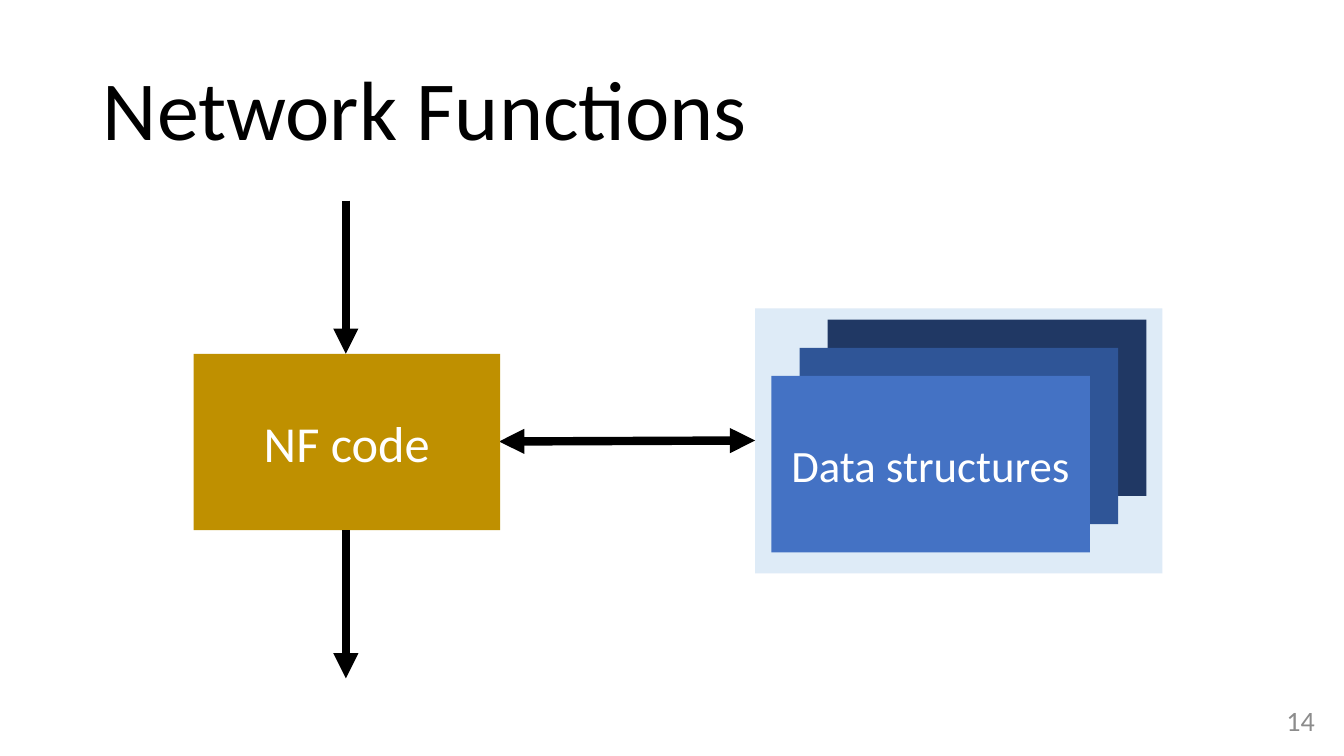
import dataclasses

import pptx
import pptx.dml.color
import pptx.enum.shapes
import pptx.enum.text
import pptx.oxml
import pptx.oxml.ns
import pptx.util

Inches = pptx.util.Inches
ALIGN = pptx.enum.text.PP_ALIGN


@dataclasses.dataclass(frozen=True)
class Theme:
    font: str = "Calibri"
    ink: str = "000000"
    light: str = "FFFFFF"
    muted: str = "8C8C8C"
    code: str = "BF9000"
    panel: str = "DEEBF7"
    stack: tuple = ("203864", "2F5597", "4472C4")
    title_size: int = 60
    code_size: int = 36
    data_size: int = 32
    number_size: int = 20
    arrow_width: int = 6


class Deck:
    """Draws themed elements on the current slide."""

    def __init__(self, theme):
        self.theme = theme
        self.prs = pptx.Presentation()
        self.prs.slide_width = Inches(13.33)
        self.prs.slide_height = Inches(7.5)
        self.s = self.prs.slides.add_slide(self.prs.slide_layouts[5])

    def rgb(self, color):
        return pptx.dml.color.RGBColor.from_string(color)

    def set_text(self, sp, text, size, color, align):
        tf = sp.text_frame
        tf.text = text
        tf.word_wrap = True
        tf.auto_size = pptx.enum.text.MSO_AUTO_SIZE.NONE
        tf.vertical_anchor = pptx.enum.text.MSO_ANCHOR.MIDDLE
        p = tf.paragraphs[0]
        p.alignment = align
        r = p.runs[0]
        r.font.name = self.theme.font
        r.font.size = pptx.util.Pt(size)
        r.font.color.rgb = self.rgb(color)
        return p

    def title(self, text, x, y, w, h):
        sp = self.s.shapes.title
        sp.left, sp.top, sp.width, sp.height = map(Inches, (x, y, w, h))
        p = self.set_text(sp, text, self.theme.title_size, self.theme.ink, ALIGN.LEFT)
        p.line_spacing = 0.9

    def number(self, text, x, y, w, h):
        sp = self.s.shapes.add_textbox(*map(Inches, (x, y, w, h)))
        self.set_text(sp, text, self.theme.number_size, self.theme.muted, ALIGN.RIGHT)

    def box(self, x, y, w, h, fill, text="", size=None, parent=None):
        shapes = (parent or self.s).shapes
        kind = pptx.enum.shapes.MSO_SHAPE.RECTANGLE
        sp = shapes.add_shape(kind, *map(Inches, (x, y, w, h)))
        sp.shadow.inherit = False
        sp.fill.solid()
        sp.fill.fore_color.rgb = self.rgb(fill)
        sp.line.fill.background()
        if text:
            self.set_text(sp, text, size, self.theme.light, ALIGN.CENTER)

    def arrow(self, x1, y1, x2, y2, both=False):
        kind = pptx.enum.shapes.MSO_CONNECTOR.STRAIGHT
        sp = self.s.shapes.add_connector(kind, *map(Inches, (x1, y1, x2, y2)))
        sp.line.color.rgb = self.rgb(self.theme.ink)
        sp.line.width = pptx.util.Pt(self.theme.arrow_width)
        props = sp._element.spPr
        ln = props.find(pptx.oxml.ns.qn("a:ln"))
        ns = pptx.oxml.ns.nsdecls("a")
        for tag in ("a:headEnd", "a:tailEnd") if both else ("a:tailEnd",):
            ln.append(pptx.oxml.parse_xml(f'<{tag} {ns} type="triangle"/>'))
        props.append(pptx.oxml.parse_xml(f"<a:effectLst {ns}/>"))

    def stack(self, panel, x, y, w, h, step, text):
        group = self.s.shapes.add_group_shape()
        self.box(*panel, self.theme.panel, parent=group)
        last = len(self.theme.stack) - 1
        for i, fill in enumerate(self.theme.stack):
            label = text if i == last else ""
            self.box(x - i * step, y + i * step, w, h, fill, label,
                     self.theme.data_size, group)


def main():
    theme = Theme()
    deck = Deck(theme)
    deck.title("Network Functions", 0.92, 0.4, 11.5, 1.45)
    deck.number("14", 10.14, 6.95, 3, 0.4)
    deck.stack((7.49, 3.06, 4.04, 2.63), 8.21, 3.17, 3.16, 1.75, 0.28, "Data structures")
    deck.arrow(4.95, 4.38, 7.49, 4.37, both=True)
    deck.arrow(3.43, 1.99, 3.43, 3.51)
    deck.box(1.92, 3.51, 3.04, 1.75, theme.code, "NF code", theme.code_size)
    deck.arrow(3.43, 5.26, 3.43, 6.73)
    deck.prs.save("out.pptx")


if __name__ == "__main__":
    main()
